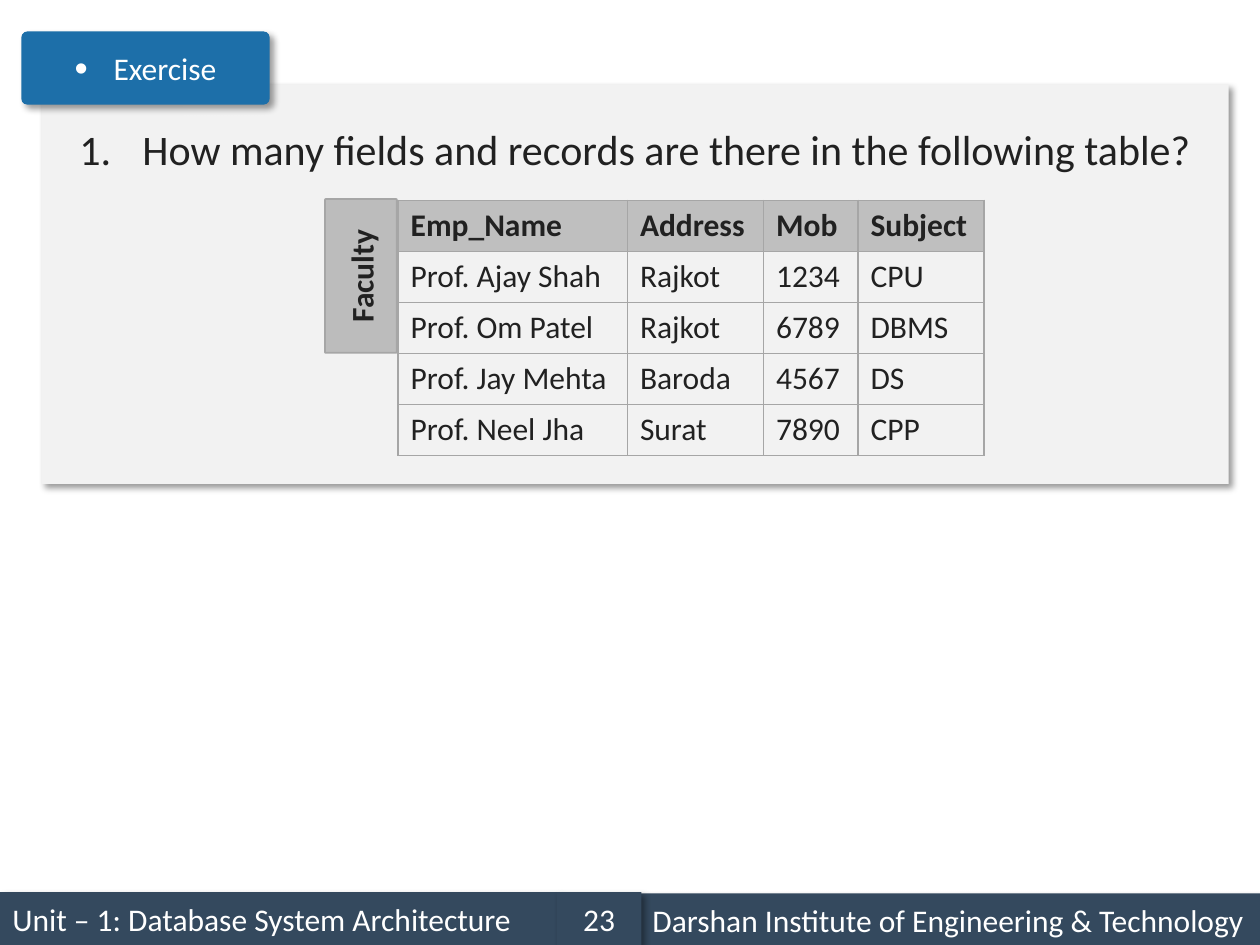
from lxml.etree import SubElement
from pptx import Presentation
from pptx.dml.color import RGBColor
from pptx.enum.shapes import MSO_SHAPE as SHAPE
from pptx.enum.text import MSO_ANCHOR as ANCHOR, PP_ALIGN as ALIGN
from pptx.oxml import parse_xml
from pptx.oxml.ns import nsdecls, qn
from pptx.util import Inches, Pt

NAVY, BLUE, CARD, INK, WHITE = "34495E", "1D6FA9", "F2F2F2", "212121", "FFFFFF"
GREY, HEADER, TAG = "A6A6A6", "BFBFBF", "BCBCBC"

FOOTER = [
    ("Unit – 1: Database System Architecture", (0, 7.08, 4.42, 0.42), ALIGN.LEFT),
    ("Darshan Institute of Engineering & Technology", (5.08, 7.09, 4.92, 0.42), ALIGN.LEFT),
    ("23", (4.42, 7.08, 0.67, 0.42), ALIGN.CENTER),
]
QUESTION = "How many fields and records are there in the following table?"
# Each group of rows is a table of its own, stacked under the one before
TABLES = [
    [("Emp_Name", "Address", "Mob", "Subject")],
    [("Prof. Ajay Shah", "Rajkot", "1234", "CPU")],
    [("Prof. Om Patel", "Rajkot", "6789", "DBMS"),
     ("Prof. Jay Mehta", "Baroda", "4567", "DS"),
     ("Prof. Neel Jha", "Surat", "7890", "CPP")],
]
COLUMNS = (1.82, 1.08, 0.75, 1)
TABLE_LEFT, TABLE_TOP, ROW_HEIGHT = 3.16, 1.59, 0.405


def rgb(value):
    return RGBColor.from_string(value)


def write(tf, text, color, size=18, bold=False, align=ALIGN.LEFT, bullet=None, indent=0):
    """Fill the first paragraph; bullet is a list of (tag, attributes)."""
    p = tf.paragraphs[0]
    p.alignment = align
    if bullet:
        pPr = p._p.get_or_add_pPr()
        pPr.set("marL", str(Inches(indent)))
        pPr.set("indent", str(-Inches(indent)))
        for tag, attrs in bullet:
            SubElement(pPr, qn(tag), attrs)
    r = p.add_run()
    r.text = text
    for name, value in dict(name="Calibri", size=Pt(size), bold=bold).items():
        setattr(r.font, name, value)
    r.font.color.rgb = rgb(color)


def add_box(s, at, fill, kind=SHAPE.RECTANGLE, radius=None, line=None, shadow=True):
    sp = s.shapes.add_shape(kind, *map(Inches, at))
    if radius is not None:
        sp.adjustments[0] = radius
    sp.fill.solid()
    sp.fill.fore_color.rgb = rgb(fill)
    if line:
        sp.line.color.rgb = rgb(line)
        sp.line.width = Pt(1)
    else:
        sp.line.fill.background()
    sp.shadow.inherit = False
    if shadow:
        sp._element.spPr.find(qn("a:effectLst")).append(parse_xml(
            f'<a:outerShdw {nsdecls("a")} blurRad="{Pt(4)}" dist="{Pt(3)}" '
            f'dir="{45 * 60000}" algn="tl" rotWithShape="0">'
            '<a:srgbClr val="000000"><a:alpha val="40000"/></a:srgbClr></a:outerShdw>'))
    sp.text_frame.word_wrap = True
    sp.text_frame.vertical_anchor = ANCHOR.MIDDLE
    return sp


def set_borders(cell):
    tcPr = cell._tc.get_or_add_tcPr()
    for i, side in enumerate("LRTB"):
        tcPr.insert(i, parse_xml(
            f'<a:ln{side} {nsdecls("a")} w="{Pt(1)}"><a:solidFill>'
            f'<a:srgbClr val="{GREY}"/></a:solidFill></a:ln{side}>'))


def add_rows(s, rows, top, header):
    frame = s.shapes.add_table(len(rows), len(COLUMNS), Inches(TABLE_LEFT), Inches(top),
                               Inches(sum(COLUMNS)), Inches(ROW_HEIGHT * len(rows)))
    table = frame.table
    table.first_row = table.horz_banding = False
    for column, width in zip(table.columns, COLUMNS):
        column.width = Inches(width)
    for i, row in enumerate(rows):
        for j, text in enumerate(row):
            cell = table.cell(i, j)
            if header:
                cell.fill.solid()
                cell.fill.fore_color.rgb = rgb(HEADER)
            else:
                cell.fill.background()
            set_borders(cell)
            write(cell.text_frame, text, INK, bold=header)


def main():
    prs = Presentation()
    prs.slide_width, prs.slide_height = Inches(10), Inches(7.5)
    s = prs.slides.add_slide(prs.slide_layouts[6])

    for text, at, align in FOOTER:
        write(add_box(s, at, NAVY).text_frame, text, WHITE, align=align)

    tf = add_box(s, (0.33, 0.67, 9.42, 3.17), CARD, SHAPE.ROUNDED_RECTANGLE, 0).text_frame
    tf.vertical_anchor = ANCHOR.TOP
    tf.margin_top = Inches(0.31)
    write(tf, QUESTION, INK, size=24, align=ALIGN.CENTER, indent=0.5,
          bullet=[("a:buFont", {"typeface": "+mj-lt"}),
                  ("a:buAutoNum", {"type": "arabicPeriod"})])

    top = TABLE_TOP
    for i, rows in enumerate(TABLES):
        add_rows(s, rows, top, header=i == 0)
        top += ROW_HEIGHT * len(rows)

    tf = add_box(s, (2.58, 1.58, 0.57, 1.22), TAG, SHAPE.ROUNDED_RECTANGLE, 0.01,
                 line=GREY, shadow=False).text_frame
    tf._txBody.bodyPr.set("vert", "vert270")
    write(tf, "Faculty", INK, bold=True, align=ALIGN.CENTER)

    tf = add_box(s, (0.17, 0.25, 1.97, 0.58), BLUE, SHAPE.ROUNDED_RECTANGLE, 0.08).text_frame
    write(tf, "Exercise", WHITE, align=ALIGN.CENTER, indent=0.31,
          bullet=[("a:buSzPct", {"val": "120000"}),
                  ("a:buFont", {"typeface": "Arial"}),
                  ("a:buChar", {"char": "•"})])

    prs.save("out.pptx")


if __name__ == "__main__":
    main()
